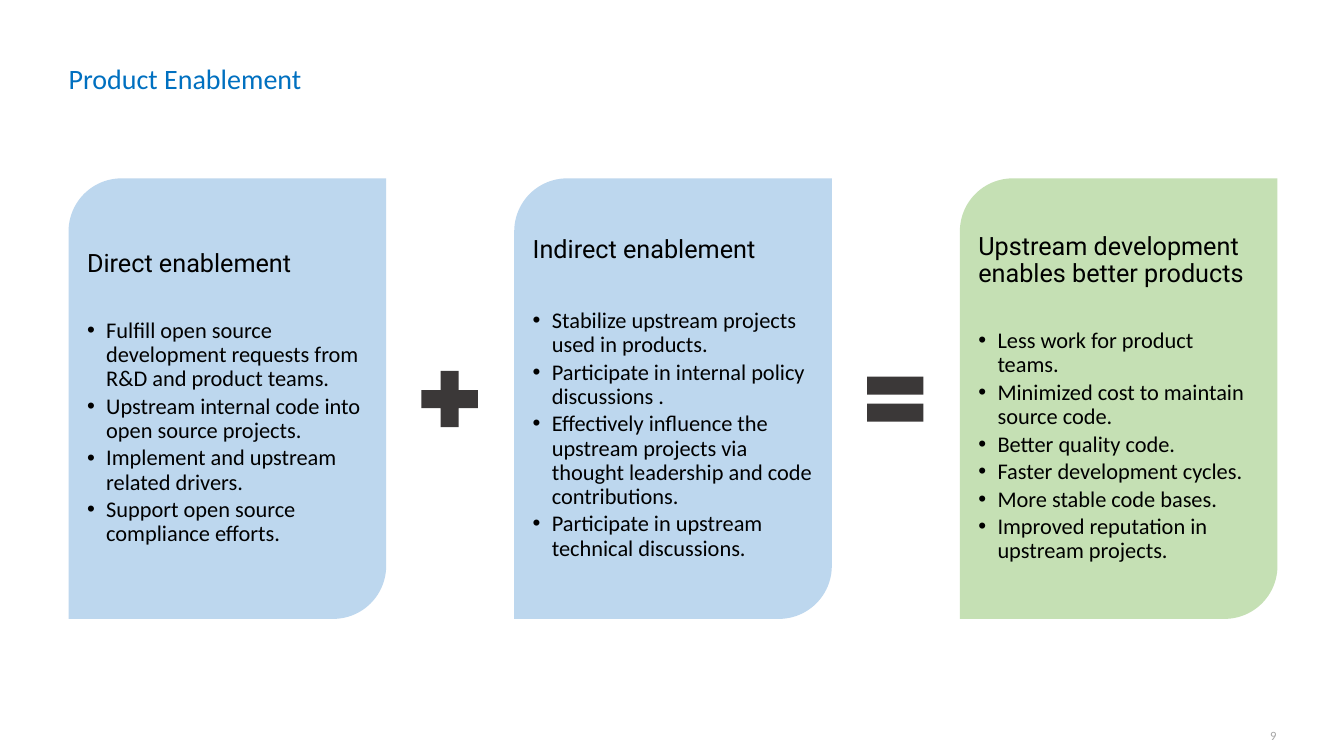
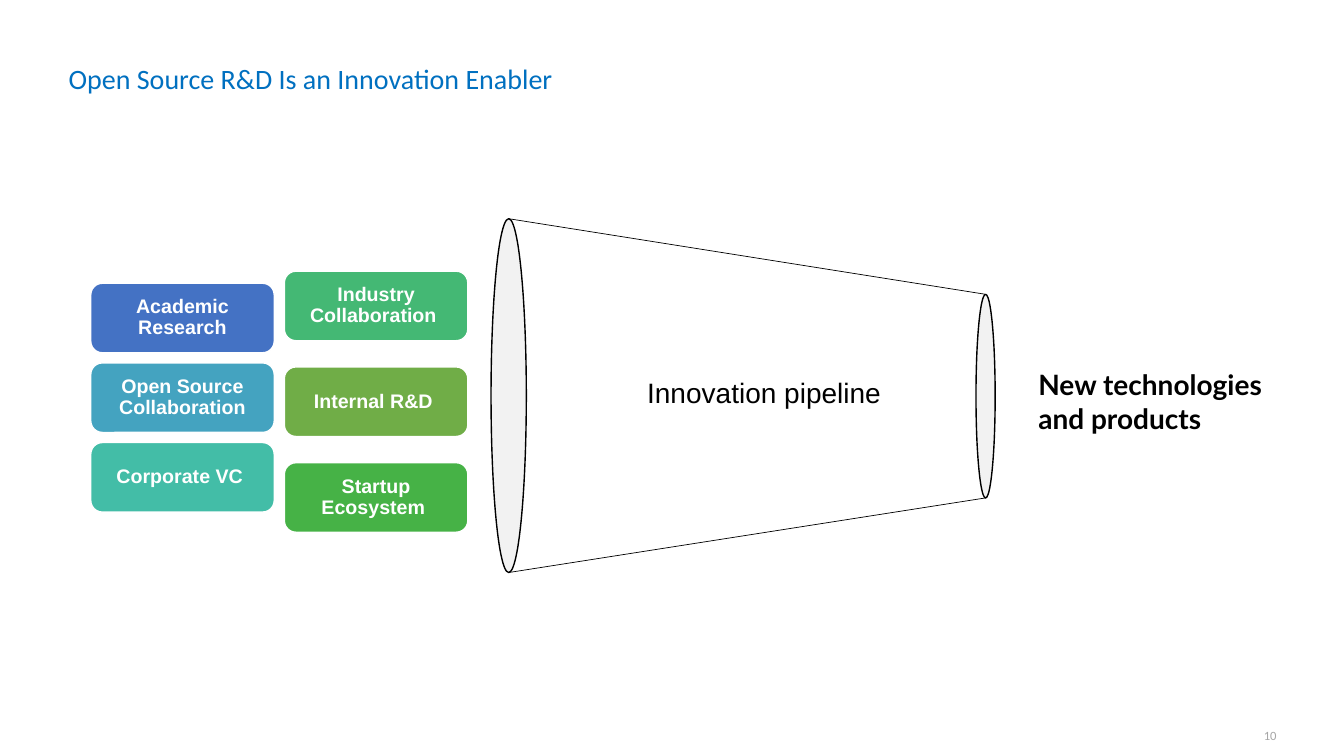
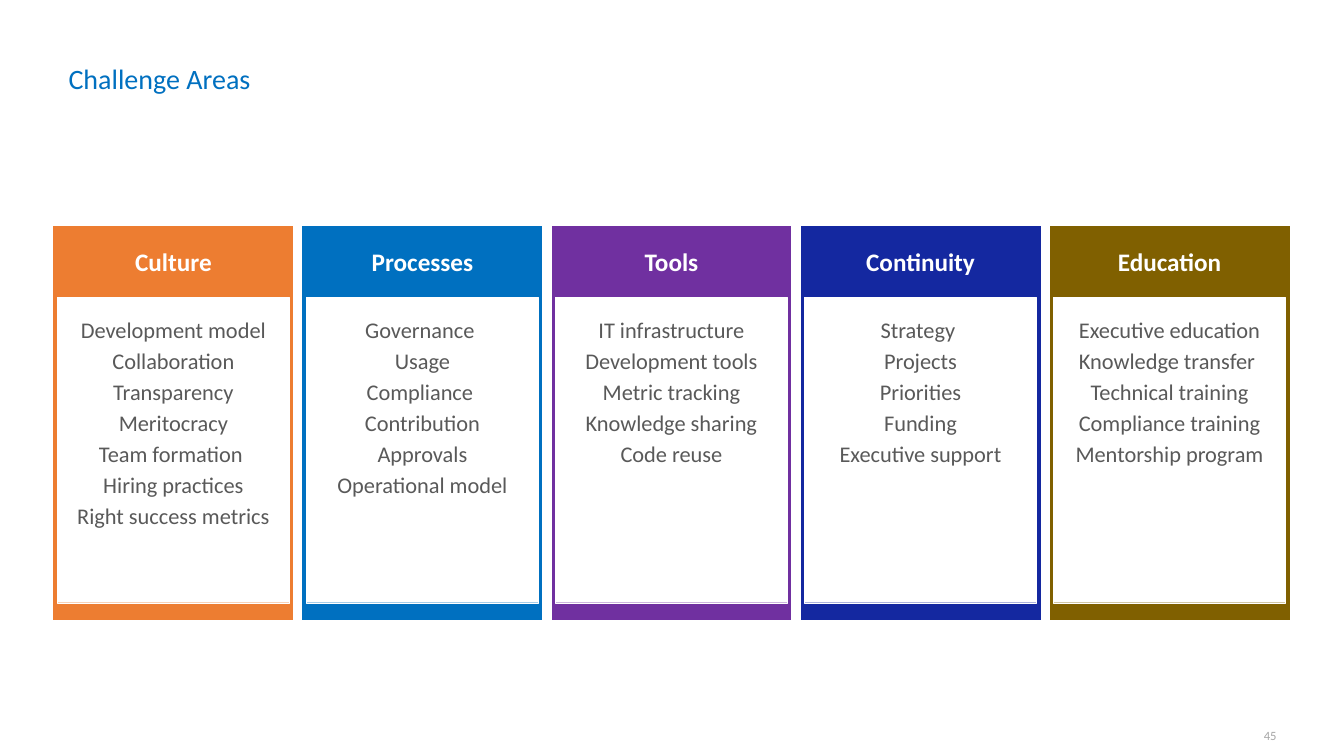
from dataclasses import dataclass, replace

from lxml import etree
from pptx import Presentation
from pptx.dml.color import RGBColor
from pptx.enum.shapes import MSO_CONNECTOR, MSO_SHAPE
from pptx.enum.text import MSO_ANCHOR, PP_ALIGN
from pptx.oxml.ns import qn
from pptx.util import Inches, Pt

LEFT, CENTER, RIGHT = PP_ALIGN.LEFT, PP_ALIGN.CENTER, PP_ALIGN.RIGHT
TOP, MIDDLE = MSO_ANCHOR.TOP, MSO_ANCHOR.MIDDLE
ROUND_DIAGONAL = MSO_SHAPE.ROUND_2_DIAG_RECTANGLE
ROUND_RECT = MSO_SHAPE.ROUNDED_RECTANGLE
RECT, PROCESS, OVAL = MSO_SHAPE.RECTANGLE, MSO_SHAPE.FLOWCHART_PROCESS, MSO_SHAPE.OVAL
PLUS, EQUAL = MSO_SHAPE.MATH_PLUS, MSO_SHAPE.MATH_EQUAL
STRAIGHT = MSO_CONNECTOR.STRAIGHT


# Theme
@dataclass(frozen=True)
class TextStyle:
    font: str
    size: float
    color: str
    bold: bool = False
    align: PP_ALIGN = LEFT
    line_spacing: float = 1.0
    space_after: float = 0
    bullet: bool = False


@dataclass(frozen=True)
class Theme:
    black: str = "000000"
    white: str = "FFFFFF"
    pale_blue: str = "BDD7EE"
    pale_green: str = "C5E0B4"
    charcoal: str = "3B3838"
    pale_gray: str = "F2F2F2"
    title: TextStyle = TextStyle("Calibri", 20, "0070C0")
    page_number: TextStyle = TextStyle("Calibri", 9, "A6A6A6", align=RIGHT)
    card_heading: TextStyle = TextStyle("Roboto", 18, "000000", line_spacing=0.9)
    bullet: TextStyle = TextStyle("Calibri", 16, "000000", line_spacing=0.9,
                                  space_after=2.4, bullet=True)
    source: TextStyle = TextStyle("Arial", 14, "FFFFFF", True, CENTER, 0.9, 4.9)
    pipeline: TextStyle = TextStyle("Arial", 20, "000000")
    outcome: TextStyle = TextStyle("Lato", 20, "000000", True)
    area_heading: TextStyle = TextStyle("Calibri", 18, "FFFFFF", True, CENTER)
    area_topic: TextStyle = TextStyle("Calibri", 16, "595959", align=CENTER,
                                      space_after=2.9)


THEME = Theme()


# Content records; lengths are in inches
@dataclass(frozen=True)
class Box:
    left: float
    top: float
    width: float
    height: float

    def lengths(self) -> list:
        return [Inches(n) for n in (self.left, self.top, self.width, self.height)]


@dataclass(frozen=True)
class Card:
    heading: str
    fill: str
    heading_gap: float
    bullets: tuple[str, ...]


@dataclass(frozen=True)
class Source:
    text: str
    fill: str


@dataclass(frozen=True)
class Stack:
    left: float
    top: float
    pitch: float
    sources: tuple[Source, ...]


@dataclass(frozen=True)
class Area:
    heading: str
    color: str
    topics: tuple[str, ...]


CARDS = (
    Card("Direct enablement", THEME.pale_blue, 29.5, (
        "Fulfill open source development requests from R&D and product teams.",
        "Upstream internal code into open source projects.",
        "Implement and upstream related drivers.",
        "Support open source compliance efforts.")),
    Card("Indirect enablement", THEME.pale_blue, 32.5, (
        "Stabilize upstream projects used in products.",
        "Participate in internal policy discussions .",
        "Effectively influence the upstream projects via thought leadership "
        "and code contributions.",
        "Participate in upstream technical discussions.")),
    Card("Upstream development enables better products", THEME.pale_green, 29.5, (
        "Less work for product teams.",
        "Minimized cost to maintain source code.",
        "Better quality code.",
        "Faster development cycles.",
        "More stable code bases.",
        "Improved reputation in upstream projects.")),
)

STACKS = (
    Stack(0.9, 2.81, 0.79, (
        Source("Academic Research", "4472C4"),
        Source("Open Source Collaboration", "44A3C0"),
        Source("Corporate VC ", "43BDA7"))),
    Stack(2.82, 2.69, 0.95, (
        Source("Industry Collaboration ", "44B874"),
        Source("Internal R&D ", "70AD47"),
        Source("Startup Ecosystem ", "46B246"))),
)

AREAS = (
    Area("Culture", "ED7D31", (
        "Development model", "Collaboration", "Transparency", "Meritocracy",
        "Team formation ", "Hiring practices", "Right success metrics")),
    Area("Processes", "0070C0", (
        "Governance ", "Usage", "Compliance ", "Contribution", "Approvals",
        "Operational model")),
    Area("Tools", "7030A0", (
        "IT infrastructure", "Development tools", "Metric tracking",
        "Knowledge sharing", "Code reuse")),
    Area("Continuity", "1428A0", (
        "Strategy ", "Projects", "Priorities", "Funding", "Executive support")),
    Area("Education", "806000", (
        "Executive education", "Knowledge transfer ", "Technical training",
        "Compliance training", "Mentorship program")),
)


# Drawing helpers
def set_bullet(para) -> None:
    properties = para._p.get_or_add_pPr()
    properties.set("marL", str(Inches(0.19)))
    properties.set("indent", str(-Inches(0.19)))
    etree.SubElement(properties, qn("a:buFont")).set("typeface", "Arial")
    etree.SubElement(properties, qn("a:buChar")).set("char", "•")


def write(shape, lines: list[tuple[str, TextStyle]], anchor=TOP,
          insets: tuple[float, float, float, float] = (0.1, 0.05, 0.1, 0.05)) -> None:
    """Fill a shape with one paragraph per line; insets run left, top, right, bottom."""
    frame = shape.text_frame
    frame.word_wrap = True
    frame.vertical_anchor = anchor
    (frame.margin_left, frame.margin_top,
     frame.margin_right, frame.margin_bottom) = [Inches(n) for n in insets]
    for index, (text, style) in enumerate(lines):
        para = frame.add_paragraph() if index else frame.paragraphs[0]
        para.alignment = style.align
        para.line_spacing = style.line_spacing
        para.space_before = Pt(0)
        para.space_after = Pt(style.space_after)
        if style.bullet:
            set_bullet(para)
        span = para.add_run()
        span.text = text
        span.font.name = style.font
        span.font.size = Pt(style.size)
        span.font.bold = style.bold
        span.font.color.rgb = RGBColor.from_string(style.color)


def add_text(page, box: Box, lines: list[tuple[str, TextStyle]], **layout) -> None:
    write(page.shapes.add_textbox(*box.lengths()), lines, **layout)


def add_shape(page, kind, box: Box, fill: str, line: str = "", weight: float = 1):
    shape = page.shapes.add_shape(kind, *box.lengths())
    shape.shadow.inherit = False
    shape.fill.solid()
    shape.fill.fore_color.rgb = RGBColor.from_string(fill)
    if line:
        shape.line.color.rgb = RGBColor.from_string(line)
        shape.line.width = Pt(weight)
    else:
        shape.line.fill.background()
    return shape


def add_line(page, start: tuple[float, float], end: tuple[float, float]) -> None:
    line = page.shapes.add_connector(STRAIGHT, *[Inches(n) for n in start + end])
    line.line.color.rgb = RGBColor.from_string(THEME.black)
    line.line.width = Pt(0.5)
    etree.SubElement(line._element.spPr, qn("a:effectLst"))


def add_page(deck, title: str, number: int):
    page = deck.slides.add_slide(deck.slide_layouts[6])
    add_text(page, Box(12.16, 7.08, 0.6, 0.43), [(str(number), THEME.page_number)],
             anchor=MIDDLE, insets=(0.1, 0.1, 0.1, 0.1))
    add_text(page, Box(0.68, 0.61, 11.98, 0.72), [(title, THEME.title)],
             insets=(0, 0, 0.1, 0.05))
    return page


# Pages
def build_enablement(deck) -> None:
    page = add_page(deck, "Product Enablement", 9)
    pitch = 4.42
    for index, card in enumerate(CARDS):
        shape = add_shape(page, ROUND_DIAGONAL,
                          Box(0.68 + index * pitch, 1.77, 3.15, 4.37), card.fill)
        heading = replace(THEME.card_heading, space_after=card.heading_gap)
        lines = [(card.heading, heading)]
        lines += [(text, THEME.bullet) for text in card.bullets]
        write(shape, lines, anchor=MIDDLE, insets=(0.03, 0.03, 0.03, 0.03))
    for index, sign in enumerate((PLUS, EQUAL)):
        add_shape(page, sign, Box(4.08 + index * pitch, 3.58, 0.76, 0.76),
                  THEME.charcoal)


def build_pipeline(deck) -> None:
    page = add_page(deck, "Open Source R&D Is an Innovation Enabler", 10)

    # Funnel
    mouth = Box(4.87, 2.17, 0.35, 3.51)
    outlet = Box(9.68, 2.92, 0.19, 2.02)
    for end in (outlet, mouth):
        add_shape(page, OVAL, end, THEME.pale_gray, THEME.black)
    for edge in (0, 1):
        start, finish = [(end.left + end.width / 2, end.top + edge * end.height)
                         for end in (mouth, outlet)]
        add_line(page, start, finish)

    # Sources feeding the funnel
    for stack in STACKS:
        for row, source in enumerate(stack.sources):
            box = Box(stack.left, stack.top + row * stack.pitch, 1.82, 0.69)
            shape = add_shape(page, ROUND_RECT, box, source.fill, THEME.white)
            write(shape, [(source.text, THEME.source)], anchor=MIDDLE,
                  insets=(0.07, 0.07, 0.07, 0.07))

    # Labels
    add_text(page, Box(6.32, 3.68, 2.58, 0.44),
             [("Innovation pipeline", THEME.pipeline)])
    add_text(page, Box(10.2, 3.6, 2.67, 0.77),
             [("New technologies", THEME.outcome), ("and products", THEME.outcome)])


def build_challenges(deck) -> None:
    page = add_page(deck, "Challenge Areas", 45)
    for index, area in enumerate(AREAS):
        left = 0.53 + index * 2.47
        frame = add_shape(page, PROCESS, Box(left, 2.24, 2.38, 3.91), area.color)
        write(frame, [(area.heading, THEME.area_heading)],
              insets=(0.1, 0.2, 0.1, 0.05))
        panel = add_shape(page, RECT, Box(left + 0.04, 2.95, 2.3, 3.03),
                          THEME.white, THEME.white, 0.25)
        write(panel, [(topic, THEME.area_topic) for topic in area.topics],
              insets=(0.15, 0.19, 0.15, 0.05))


def main() -> None:
    deck = Presentation()
    deck.slide_width, deck.slide_height = Inches(13.33), Inches(7.5)
    build_enablement(deck)
    build_pipeline(deck)
    build_challenges(deck)
    deck.save("out.pptx")


if __name__ == "__main__":
    main()
